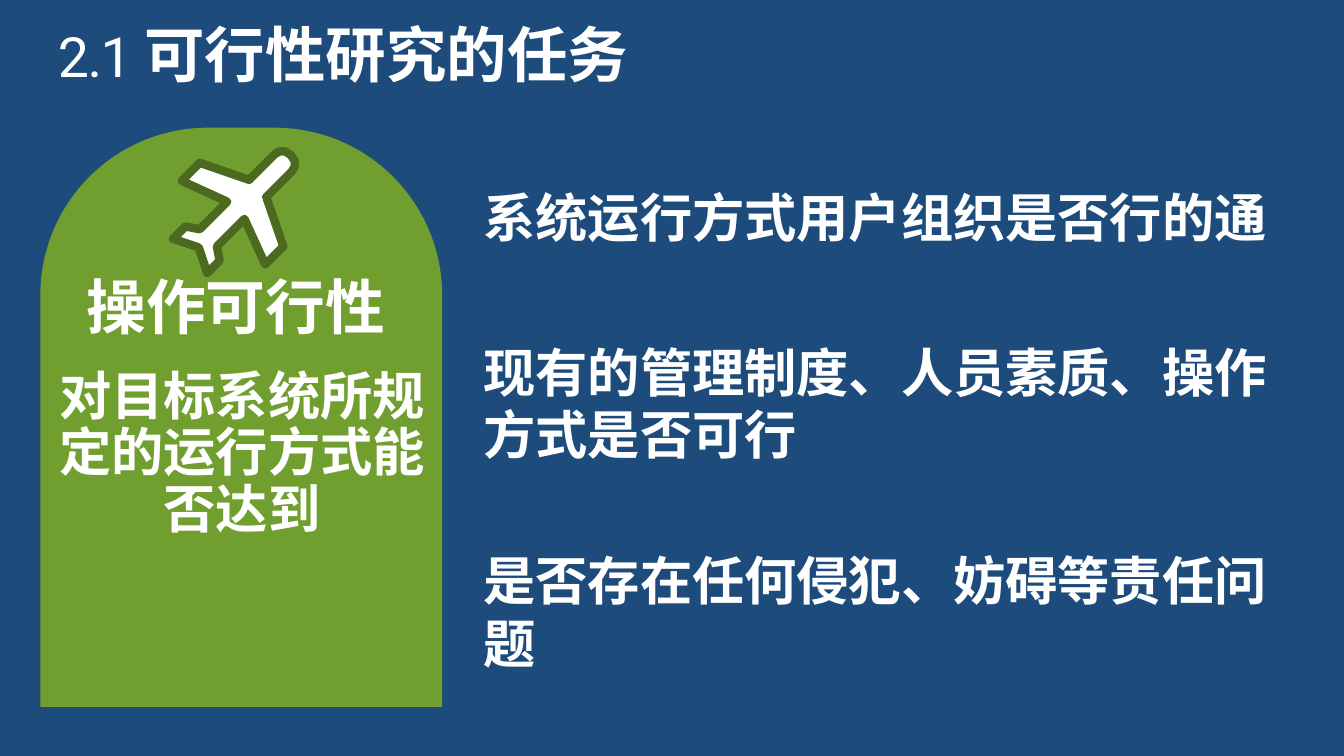
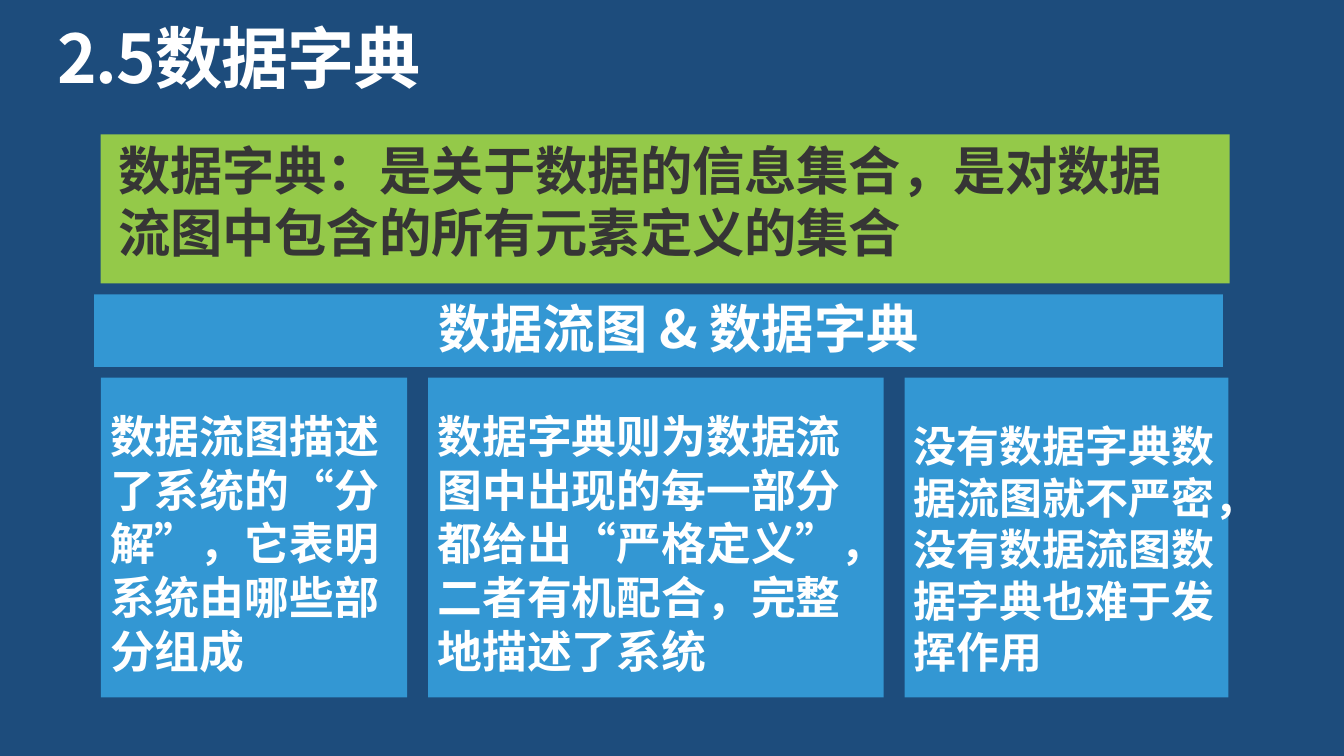
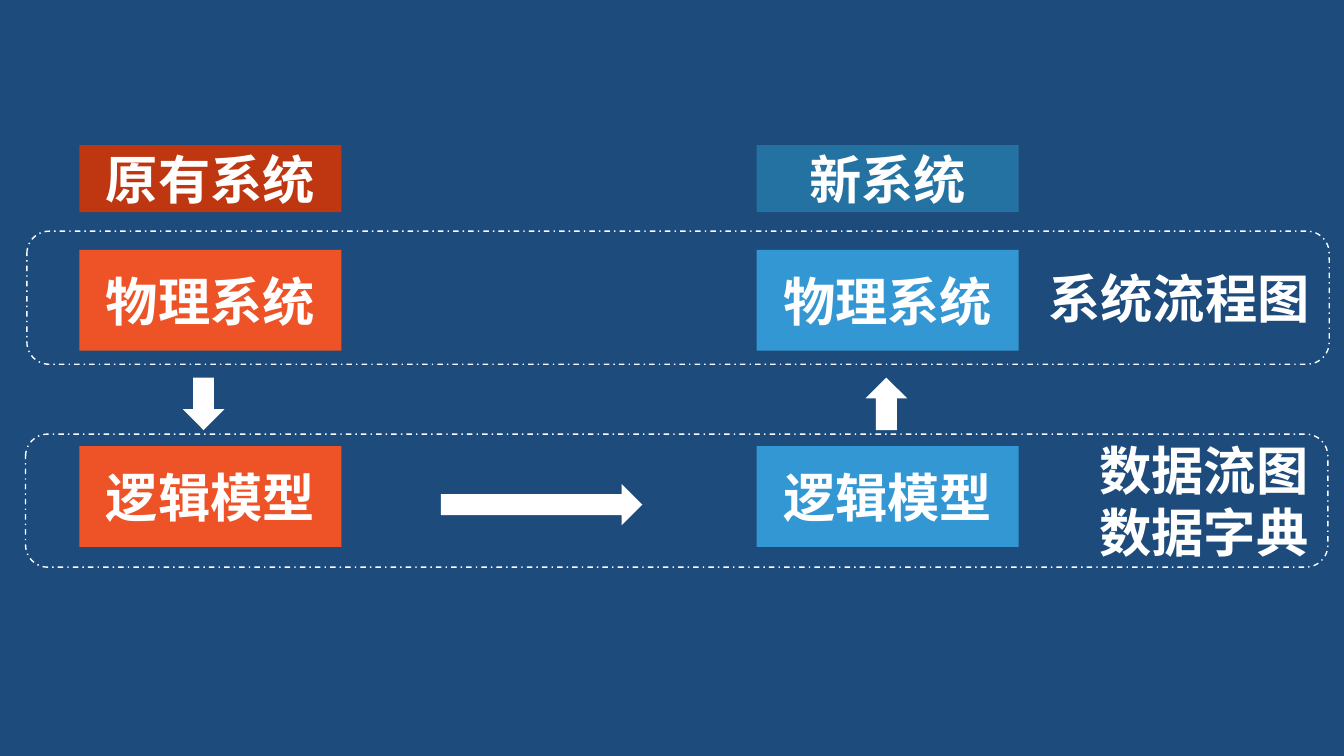
from lxml.etree import SubElement
from pptx import Presentation
from pptx.dml.color import RGBColor
from pptx.enum.dml import MSO_LINE
from pptx.enum.shapes import MSO_SHAPE as Shape
from pptx.enum.text import MSO_ANCHOR as Anchor, PP_ALIGN as Align
from pptx.oxml.ns import qn
from pptx.util import Inches, Pt

NAVY = RGBColor(0x1D, 0x4C, 0x7C)
WHITE = RGBColor(0xFF, 0xFF, 0xFF)
CHARCOAL = RGBColor(0x36, 0x35, 0x35)
GREEN = RGBColor(0x70, 0x9E, 0x2F)
DARK_GREEN = RGBColor(0x4B, 0x6A, 0x1F)
LIME = RGBColor(0x94, 0xC9, 0x49)
BLUE = RGBColor(0x33, 0x97, 0xD3)
DARK_BLUE = RGBColor(0x23, 0x72, 0xA2)
ORANGE = RGBColor(0xED, 0x53, 0x26)
DARK_RED = RGBColor(0xBE, 0x37, 0x10)

CHINESE_FONT = "Noto Sans CJK SC"
NUMBER_FONT = "Roboto"
SLIDE_WIDTH, SLIDE_HEIGHT = Inches(10), Inches(5.625)
CELL = SLIDE_WIDTH // 100
BOX_INSETS = (1, 0.5, 1, 0.5)
LABEL_INSETS = (0.7, 0.4, 0.7, 0.4)
CARD_INSETS = (0.7, 14.7, 0.7, 1.5)


def cells(*counts):
    return [round(count * CELL) for count in counts]


def add_slide(presentation):
    slide = presentation.slides.add_slide(presentation.slide_layouts[6])
    slide.background.fill.solid()
    slide.background.fill.fore_color.rgb = NAVY
    return slide


def format_run(run, size, color=WHITE, name=CHINESE_FONT, bold=True, spacing=0):
    run.font.size = Pt(size)
    run.font.bold = bold
    run.font.color.rgb = color
    run.font.name = name
    properties = run._r.get_or_add_rPr()
    SubElement(properties, qn("a:ea")).set("typeface", name)
    if spacing:
        properties.set("spc", str(round(spacing * 100)))


def set_frame(shape, insets, anchor):
    text_frame = shape.text_frame
    text_frame.word_wrap = True
    text_frame.vertical_anchor = anchor
    (text_frame.margin_left, text_frame.margin_top,
     text_frame.margin_right, text_frame.margin_bottom) = cells(*insets)
    return text_frame


def write(shape, text, size=28, color=WHITE, align=Align.LEFT,
          insets=BOX_INSETS, anchor=Anchor.MIDDLE):
    text_frame = set_frame(shape, insets, anchor)
    text_frame.text = text
    for paragraph in text_frame.paragraphs:
        paragraph.alignment = align
        for run in paragraph.runs:
            format_run(run, size, color)
    return text_frame.paragraphs


def indent(paragraph, columns):
    properties = paragraph._p.get_or_add_pPr()
    properties.set("marL", str(cells(columns)[0]))
    properties.set("indent", "0")


def add_text(slide, area, text, **style):
    return write(slide.shapes.add_textbox(*cells(*area)), text, **style)


def add_block(slide, kind, area, fill=None):
    shape = slide.shapes.add_shape(kind, *cells(*area))
    shape.shadow.inherit = False
    shape.line.fill.background()
    if fill is None:
        shape.fill.background()
    else:
        shape.fill.solid()
        shape.fill.fore_color.rgb = fill
    return shape


def add_title(slide, text, size, number=""):
    box = slide.shapes.add_textbox(*cells(4.3, 1.9, 91.5, 5))
    text_frame = set_frame(box, (0, 0, 0, 0), Anchor.TOP)
    paragraph = text_frame.paragraphs[0]
    paragraph.line_spacing = 0.9
    if number:
        paragraph.text = number
        format_run(paragraph.runs[0], 29.7, name=NUMBER_FONT, bold=False, spacing=-0.8)
    run = paragraph.add_run()
    run.text = text
    format_run(run, size, spacing=0 if number else -0.8)


def add_airplane(slide, center_x, center_y):
    half = [(0, -5.3), (0.5, -5.2), (0.8, -4.9), (0.9, -4.5), (0.9, -1.8),
            (4.4, -0.1), (4.4, 1.8), (0.9, 0.5), (0.9, 3.4), (1.8, 4),
            (1.8, 5.3), (0, 4.4)]
    outline = half + [(-x, y) for x, y in half[-2:0:-1]]
    points = [cells(center_x + x, center_y + y) for x, y in outline]
    builder = slide.shapes.build_freeform(*points[0])
    builder.add_line_segments(points[1:], close=True)
    airplane = builder.convert_to_shape()
    airplane.shadow.inherit = False
    airplane.rotation = 45
    airplane.fill.solid()
    airplane.fill.fore_color.rgb = WHITE
    airplane.line.color.rgb = DARK_GREEN
    airplane.line.width = Pt(4.5)


def add_level(slide, left, top, labels):
    frame = add_block(slide, Shape.ROUNDED_RECTANGLE, (left, top, 96.9, 9.9))
    frame.line.color.rgb = WHITE
    frame.line.width = Pt(0.75)
    frame.line.dash_style = MSO_LINE.DASH_DOT
    write(frame, labels, align=Align.RIGHT)


def build_feasibility(presentation):
    slide = add_slide(presentation)
    add_title(slide, "可行性研究的任务", 32.4, number="2.1 ")
    questions = [
        (13.3, 5.7, "系统运行方式用户组织是否行的通"),
        (24.8, 10.4, "现有的管理制度、人员素质、操作方式是否可行"),
        (40.3, 10.4, "是否存在任何侵犯、妨碍等责任问题"),
    ]
    for top, height, question in questions:
        add_text(slide, (35, top, 61.4, height), question, anchor=Anchor.TOP)
    arch = add_block(slide, Shape.ROUND_2_SAME_RECTANGLE, (3, 9.5, 29.9, 43.1), GREEN)
    arch.adjustments[0], arch.adjustments[1] = 0.417, 0
    heading, detail = add_text(
        slide, (3, 20.7, 29.9, 19.8), "操作可行性\n对目标系统所规定的运行方式能否达到",
        align=Align.CENTER, insets=(0, 0, 0.8, 0), anchor=Anchor.TOP)
    heading.runs[0].font.size = Pt(32)
    heading.space_after = Pt(9)
    detail.space_before = Pt(5.6)
    indent(detail, 0.9)
    for paragraph in (heading, detail):
        paragraph.line_spacing = 0.9
    add_airplane(slide, 17.9, 15.3)


def build_dictionary(presentation):
    slide = add_slide(presentation)
    add_title(slide, "2.5数据字典", 36)
    band = add_block(slide, Shape.RECTANGLE, (7, 21.9, 84, 5.4), BLUE)
    paragraphs = write(band, "数据流图 & 数据字典", align=Align.CENTER,
                       insets=(1, 0.5, 0.5, 1))
    indent(paragraphs[0], 2.5)
    definition = add_block(slide, Shape.RECTANGLE, (7.5, 10, 84, 11.1), LIME)
    write(definition, "数据字典：是关于数据的信息集合，是对数据流图中包含的所有元素定义的集合",
          color=CHARCOAL, insets=(1.3, 5.3, 1.3, 1.5), anchor=Anchor.BOTTOM)
    cards = [
        (22.8, 24, "数据流图描述了系统的“分解”，它表明系统由哪些部分组成"),
        (33.9, 24, "数据字典则为数据流图中出现的每一部分都给出“严格定义”，二者有机配合，完整地描述了系统"),
        (24.1, 23, "没有数据字典数据流图就不严密，没有数据流图数据字典也难于发挥作用"),
    ]
    left, gap = 7.5, 1.55
    for width, size, text in cards:
        card = add_block(slide, Shape.RECTANGLE, (left, 28.1, width, 23.8), BLUE)
        write(card, text, size=size, insets=CARD_INSETS, anchor=Anchor.BOTTOM)
        left += width + gap


def build_models(presentation):
    slide = add_slide(presentation)
    systems = [
        (5.9, "原有系统", DARK_RED, ORANGE),
        (56.3, "新系统", DARK_BLUE, BLUE),
    ]
    for left, name, label_color, box_color in systems:
        label = add_block(slide, Shape.RECTANGLE, (left, 10.8, 19.5, 5), label_color)
        write(label, name, align=Align.CENTER, insets=LABEL_INSETS)
        for top, stage in ((33.2, "逻辑模型"), (18.6, "物理系统")):
            box = add_block(slide, Shape.RECTANGLE, (left, top, 19.5, 7.5), box_color)
            write(box, stage, align=Align.CENTER)
    add_block(slide, Shape.DOWN_ARROW, (13.6, 28.1, 3.1, 3.9), WHITE)
    add_block(slide, Shape.UP_ARROW, (64.4, 28.1, 3.1, 3.9), WHITE)
    add_block(slide, Shape.RIGHT_ARROW, (32.8, 36, 15, 3.1), WHITE)
    add_level(slide, 2, 17.2, "系统流程图")
    add_level(slide, 1.9, 32.3, "数据流图\n数据字典")


def main():
    presentation = Presentation()
    presentation.slide_width, presentation.slide_height = SLIDE_WIDTH, SLIDE_HEIGHT
    build_feasibility(presentation)
    build_dictionary(presentation)
    build_models(presentation)
    presentation.save("out.pptx")


if __name__ == "__main__":
    main()
